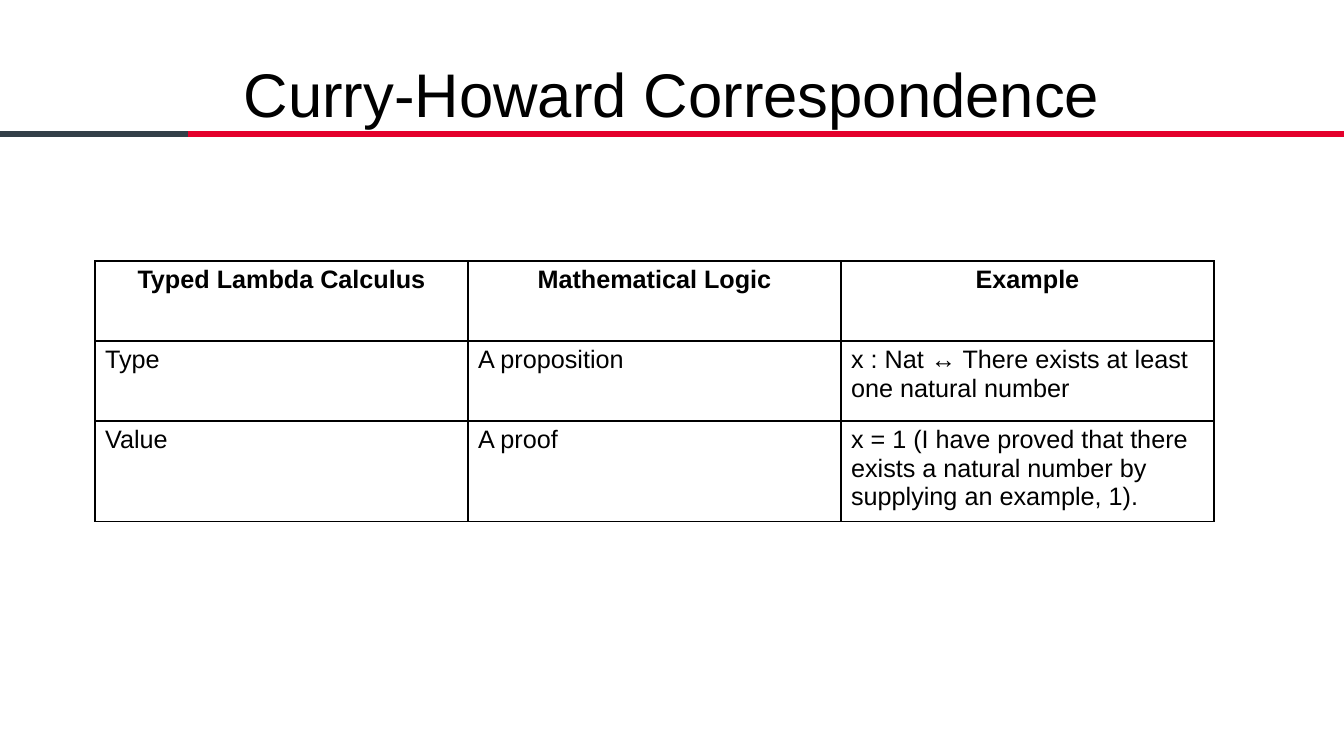
from lxml.etree import SubElement
from pptx import Presentation
from pptx.dml.color import RGBColor
from pptx.enum.shapes import MSO_SHAPE
from pptx.enum.text import MSO_ANCHOR, PP_ALIGN
from pptx.oxml.ns import qn
from pptx.util import Emu, Pt

EMU_PER_PX = 914400 / 100.8
FONT = "Arial"
BLACK = RGBColor(0x00, 0x00, 0x00)
RED = RGBColor(0xE4, 0x00, 0x2B)
SLATE = RGBColor(0x33, 0x3F, 0x48)

COLUMN_WIDTH = 373
ROW_HEIGHTS = [80, 80, 95]
CORRESPONDENCE = [
    ["Typed Lambda Calculus", "Mathematical Logic", "Example"],
    ["Type", "A proposition",
     "x : Nat ↔ There exists at least one natural number"],
    ["Value", "A proof",
     "x = 1 (I have proved that there exists a natural number "
     "by supplying an example, 1)."],
]


def px(length):
    return Emu(round(length * EMU_PER_PX))


def write(frame, text, size, align, bold=False):
    para = frame.paragraphs[0]
    para.alignment = align
    span = para.add_run()
    span.text = text
    span.font.name = FONT
    span.font.size = Pt(size)
    span.font.bold = bold
    span.font.color.rgb = BLACK


def add_bar(page, left, top, width, height, color):
    bar = page.shapes.add_shape(
        MSO_SHAPE.RECTANGLE, px(left), px(top), px(width), px(height))
    bar.shadow.inherit = False
    bar.fill.solid()
    bar.fill.fore_color.rgb = color
    bar.line.fill.background()


def add_title(page, text, left, top, width, height):
    box = page.shapes.add_textbox(px(left), px(top), px(width), px(height))
    frame = box.text_frame
    frame.word_wrap = True
    frame.vertical_anchor = MSO_ANCHOR.MIDDLE
    frame.margin_left = frame.margin_right = 0
    frame.margin_top = frame.margin_bottom = 0
    write(frame, text, 44, PP_ALIGN.CENTER)


def outline_cell(cell):
    properties = cell._tc.get_or_add_tcPr()
    for side in ("a:lnL", "a:lnR", "a:lnT", "a:lnB"):
        line = SubElement(properties, qn(side), w=str(Pt(1)))
        fill = SubElement(line, qn("a:solidFill"))
        SubElement(fill, qn("a:srgbClr"), val=str(BLACK))


def add_grid(page, rows, left, top):
    column_count = len(rows[0])
    table = page.shapes.add_table(
        len(rows), column_count, px(left), px(top),
        px(COLUMN_WIDTH * column_count), px(sum(ROW_HEIGHTS))).table
    table.first_row = False
    table.horz_banding = False
    for column in table.columns:
        column.width = px(COLUMN_WIDTH)
    for row, height in zip(table.rows, ROW_HEIGHTS):
        row.height = px(height)
    for row_index, texts in enumerate(rows):
        header = row_index == 0
        align = PP_ALIGN.CENTER if header else PP_ALIGN.LEFT
        for column_index, text in enumerate(texts):
            cell = table.cell(row_index, column_index)
            outline_cell(cell)
            cell.fill.background()
            write(cell.text_frame, text, 18, align, bold=header)


def main():
    deck = Presentation()
    deck.slide_width = px(1344)
    deck.slide_height = px(756)
    page = deck.slides.add_slide(deck.slide_layouts[6])
    add_bar(page, 109, 131, 1235, 6, RED)
    add_bar(page, 0, 131, 188, 6, SLATE)
    add_title(page, "Curry-Howard Correspondence", 67, 30, 1210, 126)
    add_grid(page, CORRESPONDENCE, 95, 261)
    deck.save("out.pptx")


if __name__ == "__main__":
    main()
